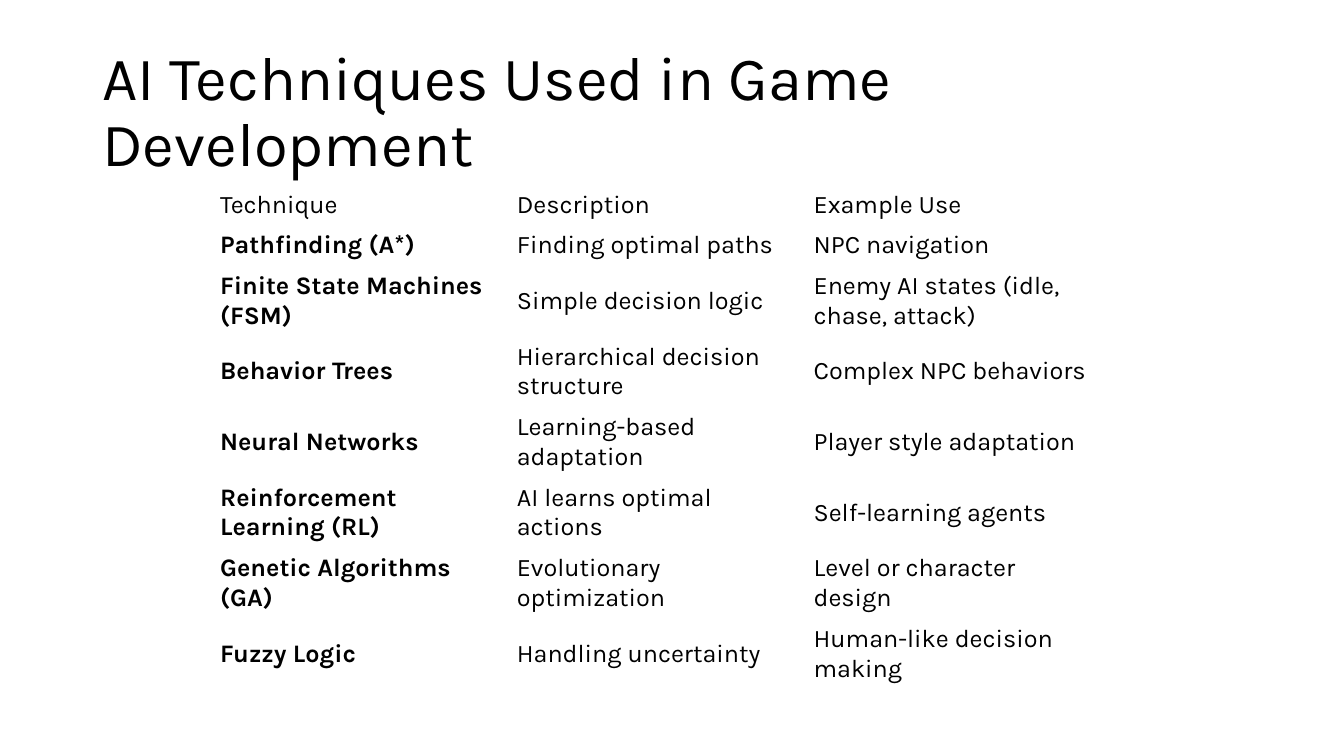
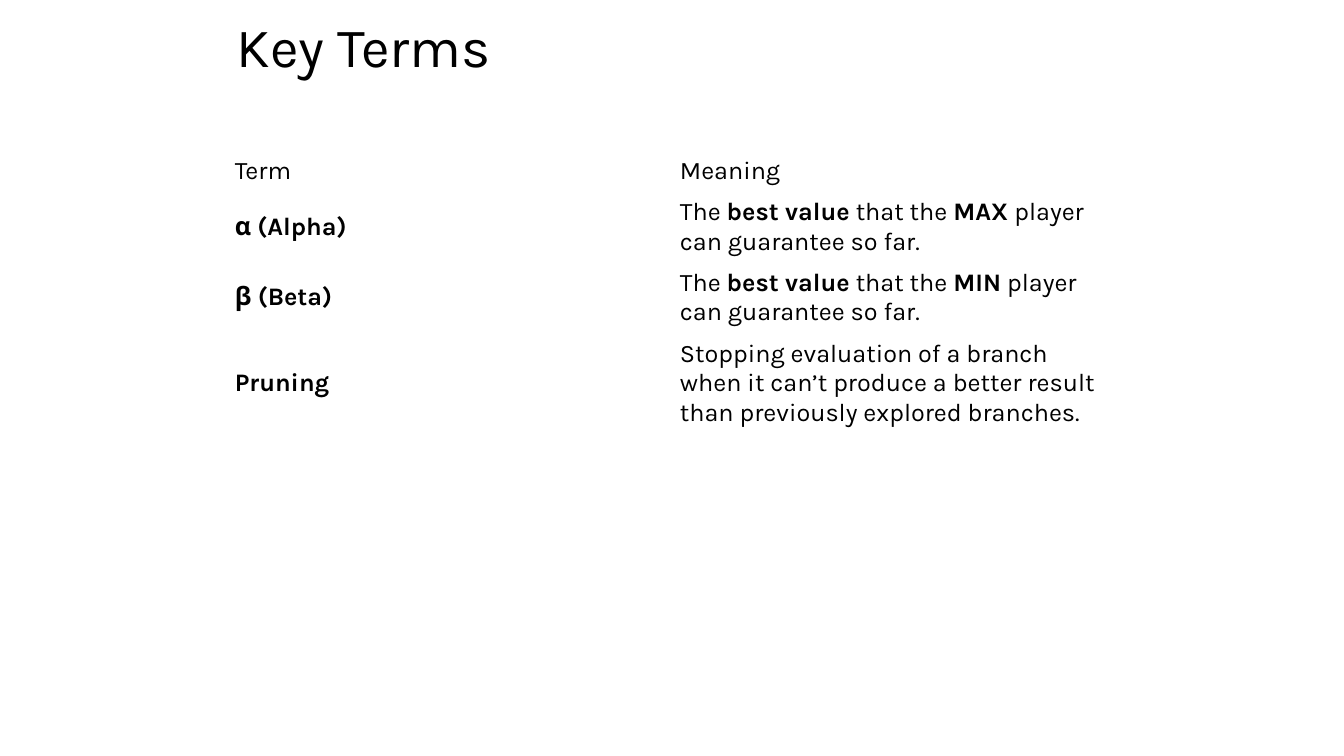
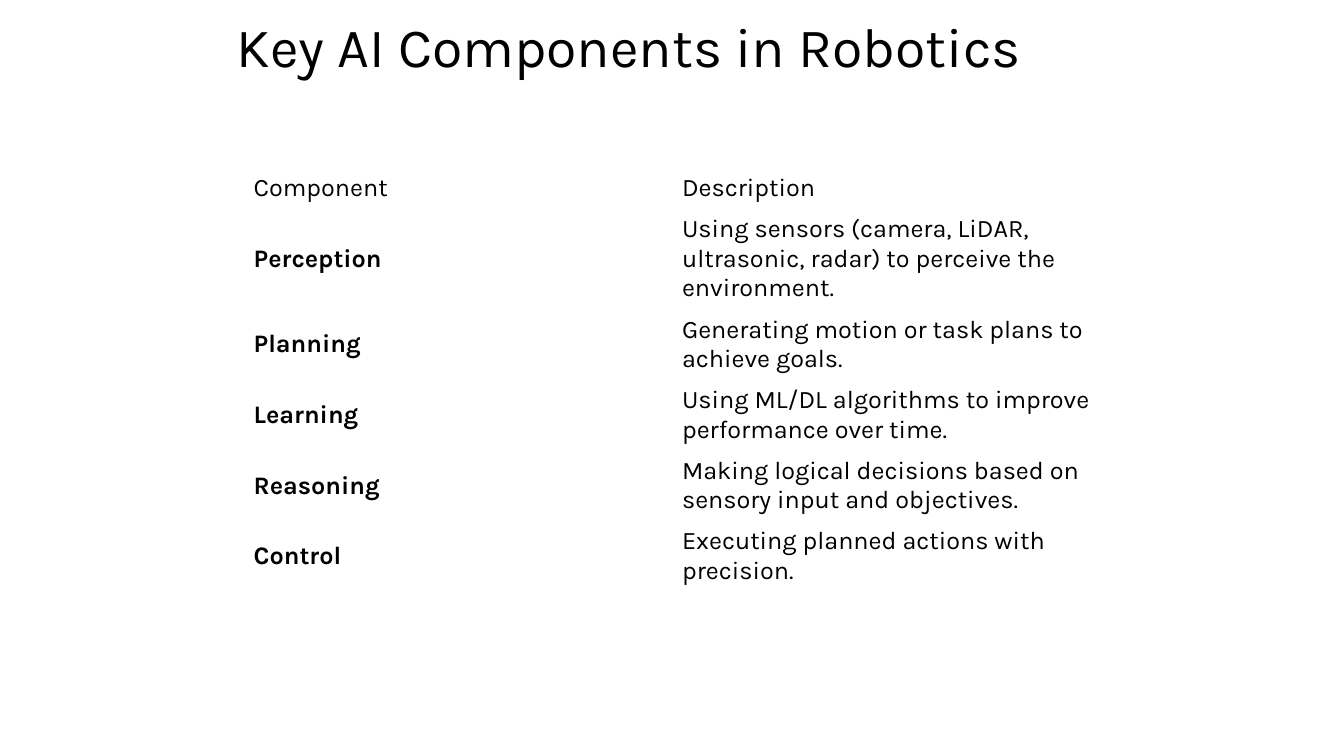
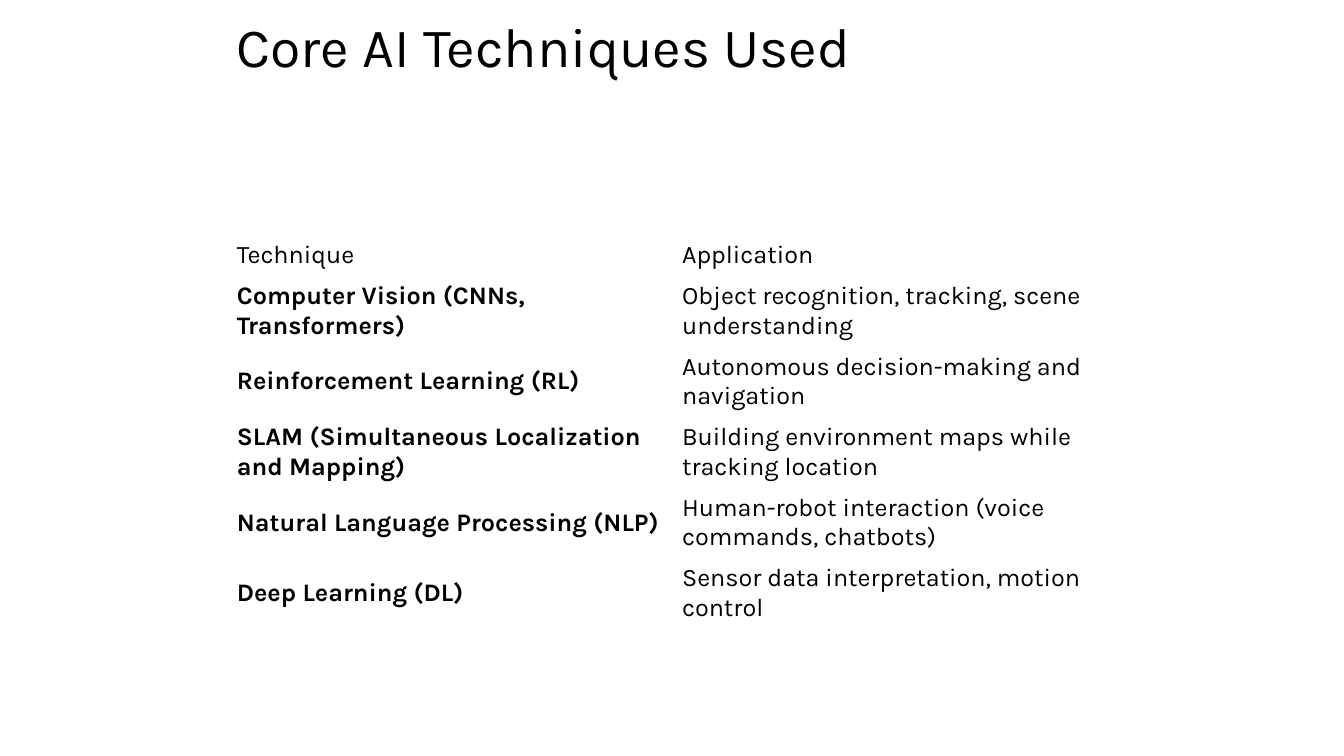
import pptx
import pptx.dml.color
import pptx.enum.text
import pptx.util

Pt = pptx.util.Pt
MID = pptx.enum.text.MSO_ANCHOR.MIDDLE

# Shared style
FONT, INK, PAPER = "Karla", "000000", "FFFFFF"
WIDE, TALL = 960, 540
BODY = 18                  # table text size
LINE, PAD = 21.6, 7.2      # height of a text line, padding of a row
TOP = (162, 11.5, 636, 48.2, 39.6)   # usual title: left, top, width, height, size

# Content: a row is (lines, cells); a tuple cell turns bold on and off in turn
SLIDES = [
    {"title": "AI Techniques Used in Game Development",
     "head": (66, 28.8, 828, 104.4, 44),
     "grid": (150, 132, 636),
     "rows": [
         (1, ["Technique", "Description", "Example Use"]),
         (1, ["Pathfinding (A*)", "Finding optimal paths", "NPC navigation"]),
         (2, ["Finite State Machines (FSM)", "Simple decision logic",
              "Enemy AI states (idle, chase, attack)"]),
         (2, ["Behavior Trees", "Hierarchical decision structure",
              "Complex NPC behaviors"]),
         (2, ["Neural Networks", "Learning-based adaptation",
              "Player style adaptation"]),
         (2, ["Reinforcement Learning (RL)", "AI learns optimal actions",
              "Self-learning agents"]),
         (2, ["Genetic Algorithms (GA)", "Evolutionary optimization",
              "Level or character design"]),
         (2, ["Fuzzy Logic", "Handling uncertainty",
              "Human-like decision making"])]},
    {"title": "Key Terms",
     "head": TOP,
     "grid": (160.5, 108, 636),
     "rows": [
         (1, ["Term", "Meaning"]),
         (2, ["α (Alpha)", ("The ", "best value", " that the ", "MAX",
                            " player can guarantee so far.")]),
         (2, ["β (Beta)", ("The ", "best value", " that the ", "MIN",
                           " player can guarantee so far.")]),
         (3, ["Pruning", "Stopping evaluation of a branch when it can’t produce "
              "a better result than previously explored branches."])]},
    {"title": "Key AI Components in Robotics",
     "head": TOP,
     "grid": (174, 120, 612),
     "rows": [
         (1, ["Component", "Description"]),
         (3, ["Perception", "Using sensors (camera, LiDAR, ultrasonic, radar) "
              "to perceive the environment."]),
         (2, ["Planning", "Generating motion or task plans to achieve goals."]),
         (2, ["Learning", "Using ML/DL algorithms to improve performance over time."]),
         (2, ["Reasoning", "Making logical decisions based on sensory input "
              "and objectives."]),
         (2, ["Control", "Executing planned actions with precision."])]},
    {"title": "Core AI Techniques Used",
     "head": TOP,
     "grid": (162, 168, 636),
     "rows": [
         (1, ["Technique", "Application"]),
         (2, ["Computer Vision (CNNs, Transformers)",
              "Object recognition, tracking, scene understanding"]),
         (2, ["Reinforcement Learning (RL)",
              "Autonomous decision-making and navigation"]),
         (2, ["SLAM (Simultaneous Localization and Mapping)",
              "Building environment maps while tracking location"]),
         (2, ["Natural Language Processing (NLP)",
              "Human-robot interaction (voice commands, chatbots)"]),
         (2, ["Deep Learning (DL)",
              "Sensor data interpretation, motion control"])]},
]


def color(code):
    return pptx.dml.color.RGBColor.from_string(code)


def add_run(para, text, size, bold=False):
    run = para.add_run()
    run.text = text
    run.font.name, run.font.size, run.font.bold = FONT, Pt(size), bold
    run.font.color.rgb = color(INK)


def add_title(slide, text, head):
    *area, size = head
    frame = slide.shapes.add_textbox(*map(Pt, area)).text_frame
    frame.word_wrap = True
    frame.vertical_anchor = MID
    para = frame.paragraphs[0]
    para.line_spacing = 0.9
    add_run(para, text, size)


def add_grid(slide, grid, rows):
    left, top, width = grid
    highs = [PAD + LINE * lines for lines, _ in rows]
    count = len(rows[0][1])
    table = slide.shapes.add_table(len(rows), count, Pt(left), Pt(top),
                                   Pt(width), Pt(sum(highs))).table
    table.first_row = table.horz_banding = False
    for col in table.columns:
        col.width = Pt(width / count)
    for r, (_, cells) in enumerate(rows):
        table.rows[r].height = Pt(highs[r])
        for c, text in enumerate(cells):
            cell = table.cell(r, c)
            cell.fill.background()
            cell.vertical_anchor = MID
            parts = (text,) if isinstance(text, str) else text
            label = r > 0 and c == 0
            for i, part in enumerate(parts):
                add_run(cell.text_frame.paragraphs[0], part, BODY,
                        label or i % 2 == 1)


def main():
    deck = pptx.Presentation()
    deck.slide_width, deck.slide_height = Pt(WIDE), Pt(TALL)
    back = deck.slide_master.background.fill
    back.solid()
    back.fore_color.rgb = color(PAPER)
    for item in SLIDES:
        slide = deck.slides.add_slide(deck.slide_layouts[6])
        add_title(slide, item["title"], item["head"])
        add_grid(slide, item["grid"], item["rows"])
    deck.save("out.pptx")


if __name__ == "__main__":
    main()
